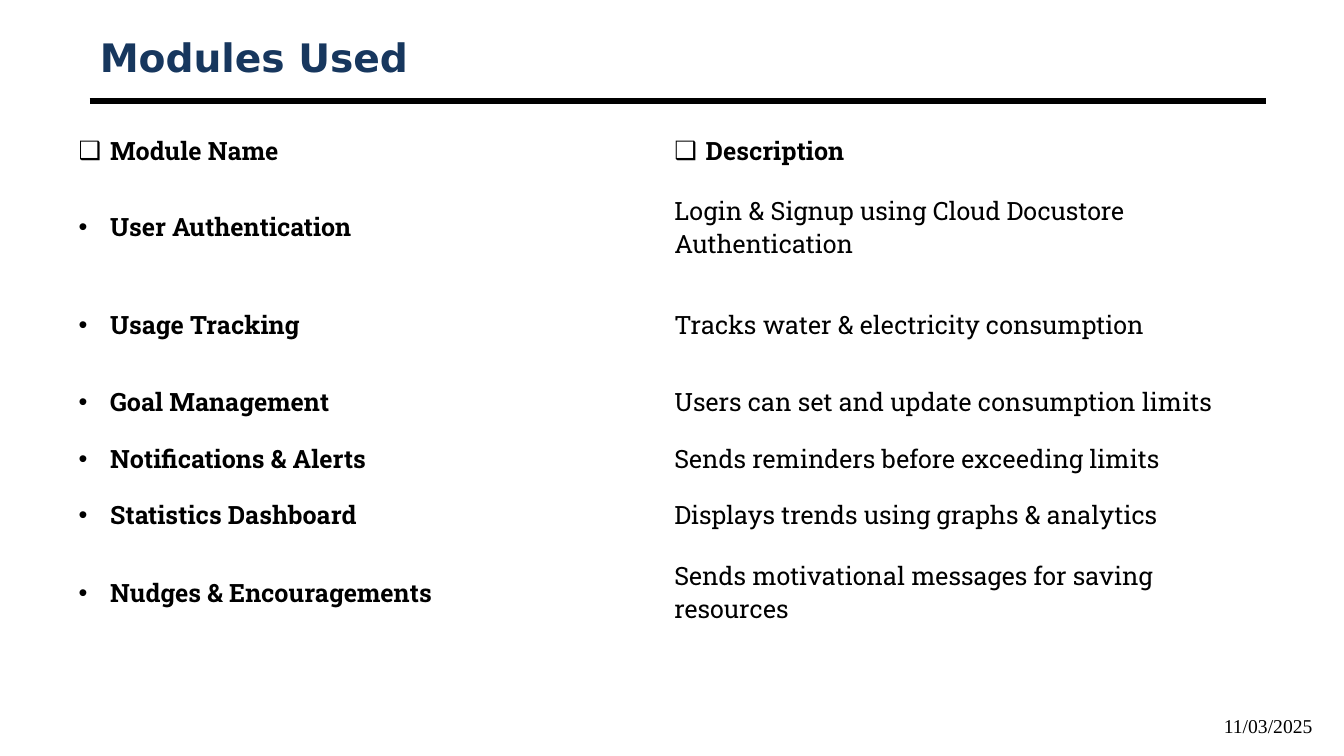
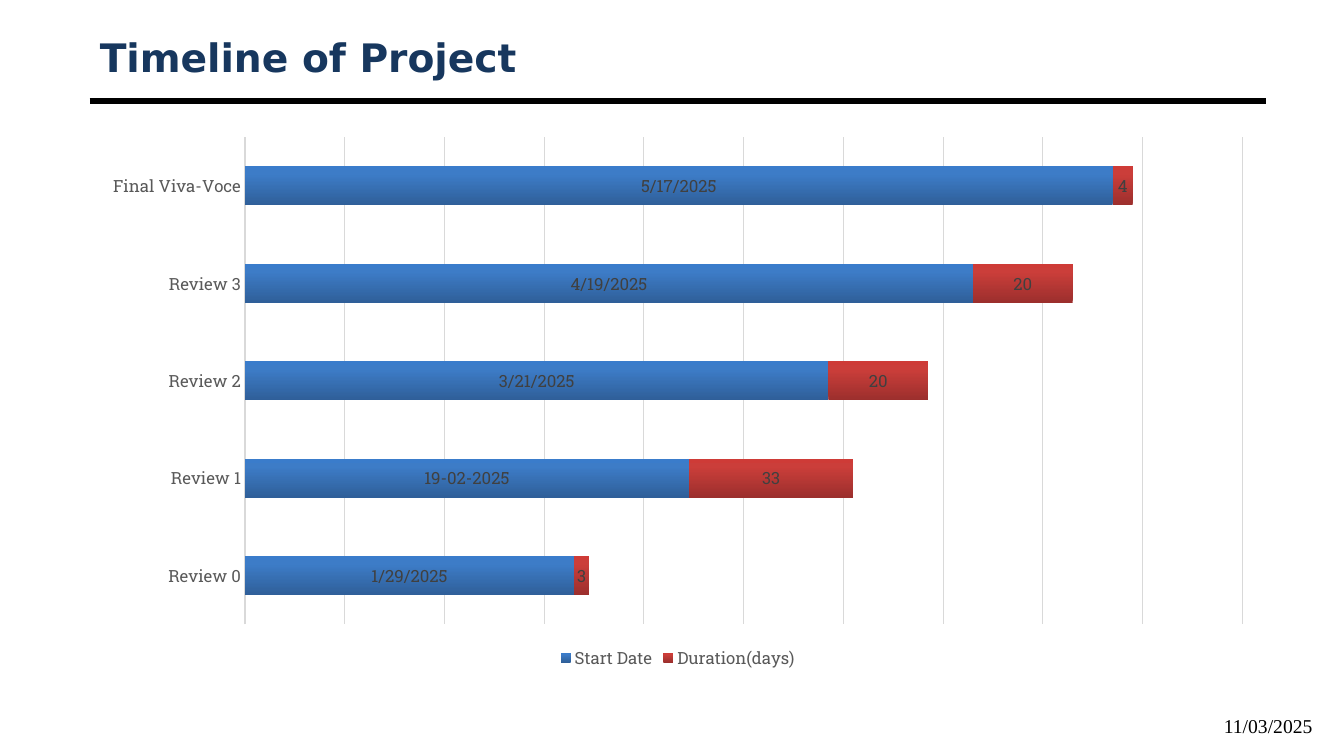
from copy import deepcopy
from dataclasses import dataclass

from lxml import etree
from pptx import Presentation
from pptx.chart.data import CategoryChartData
from pptx.dml.color import RGBColor
from pptx.enum.chart import (XL_CHART_TYPE, XL_LABEL_POSITION,
                             XL_LEGEND_POSITION, XL_TICK_MARK)
from pptx.enum.shapes import MSO_CONNECTOR
from pptx.enum.text import MSO_ANCHOR, MSO_AUTO_SIZE, PP_ALIGN
from pptx.oxml.ns import qn
from pptx.slide import Slide
from pptx.text.text import Font
from pptx.util import Cm, Pt

BAR_STACKED = XL_CHART_TYPE.BAR_STACKED
LABEL_CENTER = XL_LABEL_POSITION.CENTER
LEGEND_BOTTOM = XL_LEGEND_POSITION.BOTTOM
NO_TICK = XL_TICK_MARK.NONE
STRAIGHT = MSO_CONNECTOR.STRAIGHT
MIDDLE = MSO_ANCHOR.MIDDLE
NO_AUTOFIT = MSO_AUTO_SIZE.NONE
LEFT, RIGHT = PP_ALIGN.LEFT, PP_ALIGN.RIGHT

BLACK = RGBColor(0x00, 0x00, 0x00)
NAVY = RGBColor(0x17, 0x37, 0x5E)
DARK_GREY = RGBColor(0x40, 0x40, 0x40)
MID_GREY = RGBColor(0x59, 0x59, 0x59)
GRID_GREY = RGBColor(0xD9, 0xD9, 0xD9)
BLUES = (RGBColor(0x2F, 0x5F, 0x99), RGBColor(0x3D, 0x7C, 0xC7),
         RGBColor(0x3A, 0x7C, 0xCB))
REDS = (RGBColor(0x9C, 0x2F, 0x2D), RGBColor(0xCB, 0x3E, 0x3A),
        RGBColor(0xCE, 0x3B, 0x37))
STOPS = (0, 0.8, 1)

TITLE_FONT = "DejaVu Sans"
BODY_FONT = "Roboto Slab"
DATE_FONT = "Times New Roman"

# Shared content column
MARGIN = Cm(2.26)
CONTENT_W = Cm(29.64)
RULE_Y = Cm(2.54)
INDENT = Cm(0.79)


@dataclass
class Module:
    name: str
    description: str
    height: Cm


@dataclass
class BarSeries:
    name: str
    values: tuple[int, ...]
    gradient: tuple[RGBColor, ...]
    number_format: str


HEADER = Module("Module Name", "Description", Cm(1.42))
MODULES = [
    Module("User Authentication",
           "Login & Signup using Cloud Docustore Authentication", Cm(2.41)),
    Module("Usage Tracking", "Tracks water & electricity consumption", Cm(2.49)),
    Module("Goal Management",
           "Users can set and update consumption limits", Cm(1.42)),
    Module("Notifications & Alerts",
           "Sends reminders before exceeding limits", Cm(1.42)),
    Module("Statistics Dashboard",
           "Displays trends using graphs & analytics", Cm(1.42)),
    Module("Nudges & Encouragements",
           "Sends motivational messages for saving resources", Cm(2.49)),
]

DATE_FORMAT = "m/d/yyyy"
STAGES = ("Review 0", "Review 1", "Review 2", "Review 3", "Final Viva-Voce")
SERIES = [
    BarSeries("Start Date", (45686, 45709, 45737, 45766, 45794), BLUES,
              DATE_FORMAT),
    BarSeries("Duration(days)", (3, 33, 20, 20, 4), REDS, "General"),
]


def style(font: Font, name: str, size: float, color: RGBColor,
          bold: bool = False) -> None:
    font.name, font.size, font.bold = name, Pt(size), bold
    font.color.rgb = color


def add_bullet(p, char: str) -> None:
    pPr = p._p.get_or_add_pPr()
    pPr.set("marL", str(INDENT))
    pPr.set("indent", str(-INDENT))
    etree.SubElement(pPr, qn("a:buFont")).set("typeface", "Arial")
    etree.SubElement(pPr, qn("a:buChar")).set("char", char)


def add_base_slide(prs: Presentation, title: str) -> Slide:
    """Add a slide with its title, rule and date."""
    s = prs.slides.add_slide(prs.slide_layouts[5])

    # Rule
    rule = s.shapes.add_connector(STRAIGHT, MARGIN, RULE_Y,
                                  MARGIN + CONTENT_W, RULE_Y)
    rule.line.color.rgb = BLACK
    rule.line.width = Pt(4.5)
    etree.SubElement(rule._element.spPr, qn("a:effectLst"))

    # Title
    sp = s.shapes.title
    sp.left, sp.top, sp.width, sp.height = MARGIN, Cm(0.76), CONTENT_W, Cm(1.35)
    tf = sp.text_frame
    tf.text = title
    tf.auto_size = NO_AUTOFIT
    tf.vertical_anchor = MIDDLE
    p = tf.paragraphs[0]
    p.alignment = LEFT
    style(p.runs[0].font, TITLE_FONT, 28, NAVY, bold=True)

    # Date
    tf = s.shapes.add_textbox(Cm(25.43), Cm(17.78), Cm(7.9), Cm(1.02)).text_frame
    tf.word_wrap = True
    tf.vertical_anchor = MIDDLE
    tf.text = "11/03/2025"
    p = tf.paragraphs[0]
    p.alignment = RIGHT
    style(p.runs[0].font, DATE_FONT, 14, BLACK)
    return s


def fill_cell(cell, text: str, bold: bool, bullet: str = "") -> None:
    cell.fill.background()
    cell.vertical_anchor = MIDDLE
    cell.text_frame.text = text
    p = cell.text_frame.paragraphs[0]
    style(p.runs[0].font, BODY_FONT, 18, BLACK, bold)
    if bullet:
        add_bullet(p, bullet)


def add_modules_table(s: Slide) -> None:
    rows = [HEADER, *MODULES]
    col_w = Cm(15.01)
    table = s.shapes.add_table(len(rows), 2, Cm(1.73), Cm(3.1), 2 * col_w,
                               sum(m.height for m in rows)).table
    table.first_row = table.horz_banding = False
    for col in table.columns:
        col.width = col_w
    for i, m in enumerate(rows):
        table.rows[i].height = m.height
        is_header = m is HEADER
        fill_cell(table.cell(i, 0), m.name, True, "❑" if is_header else "•")
        fill_cell(table.cell(i, 1), m.description, is_header,
                  "❑" if is_header else "")


def format_series(ser, data: BarSeries) -> None:
    # Three-stop vertical gradient
    fill = ser.format.fill
    fill.gradient()
    fill.gradient_angle = 90
    gs_lst = ser._element.find(".//" + qn("a:gsLst"))
    gs_lst.append(deepcopy(gs_lst[-1]))
    for stop, position, color in zip(fill.gradient_stops, STOPS, data.gradient):
        stop.position = position
        stop.color.rgb = color

    # Value labels
    labels = ser.data_labels
    labels.show_value = True
    labels.position = LABEL_CENTER
    labels.number_format = data.number_format
    labels.number_format_is_linked = False
    style(labels.font, BODY_FONT, 12, DARK_GREY)


def add_timeline_chart(s: Slide) -> None:
    data = CategoryChartData()
    data.categories = STAGES
    for item in SERIES:
        data.add_series(item.name, item.values, item.number_format)
    chart = s.shapes.add_chart(BAR_STACKED, MARGIN, Cm(3.18), CONTENT_W,
                               Cm(13.77), data).chart
    chart.has_title = False
    style(chart.font, BODY_FONT, 10, BLACK)

    # Bars
    plot = chart.plots[0]
    plot.gap_width, plot.overlap = 150, 100
    plot.vary_by_categories = False
    for ser, item in zip(plot.series, SERIES):
        format_series(ser, item)

    # The Review 1 date is written out by hand
    label = plot.series[0].points[1].data_label
    label.text_frame.text = "19-02-2025"
    style(label.text_frame.paragraphs[0].runs[0].font, BODY_FONT, 12, DARK_GREY)
    label.position = LABEL_CENTER

    # Axes
    cat_axis = chart.category_axis
    cat_axis.major_tick_mark = cat_axis.minor_tick_mark = NO_TICK
    cat_axis.format.line.color.rgb = GRID_GREY
    cat_axis.format.line.width = Pt(1)
    style(cat_axis.tick_labels.font, BODY_FONT, 12, MID_GREY)
    val_axis = chart.value_axis
    val_axis.visible = False
    val_axis.minimum_scale, val_axis.maximum_scale = 45620, 45820
    val_axis.major_unit = 20
    val_axis.tick_labels.number_format = DATE_FORMAT
    val_axis.tick_labels.number_format_is_linked = False
    val_axis.has_major_gridlines = True
    grid = val_axis.major_gridlines.format.line
    grid.color.rgb = GRID_GREY
    grid.width = Pt(0.75)

    # Legend
    chart.has_legend = True
    chart.legend.position = LEGEND_BOTTOM
    chart.legend.include_in_layout = False
    style(chart.legend.font, BODY_FONT, 12, MID_GREY)


def main() -> None:
    prs = Presentation()
    prs.slide_width, prs.slide_height = Cm(33.87), Cm(19.05)
    add_modules_table(add_base_slide(prs, "Modules Used"))
    add_timeline_chart(add_base_slide(prs, "Timeline of Project"))
    prs.save("out.pptx")


if __name__ == "__main__":
    main()
